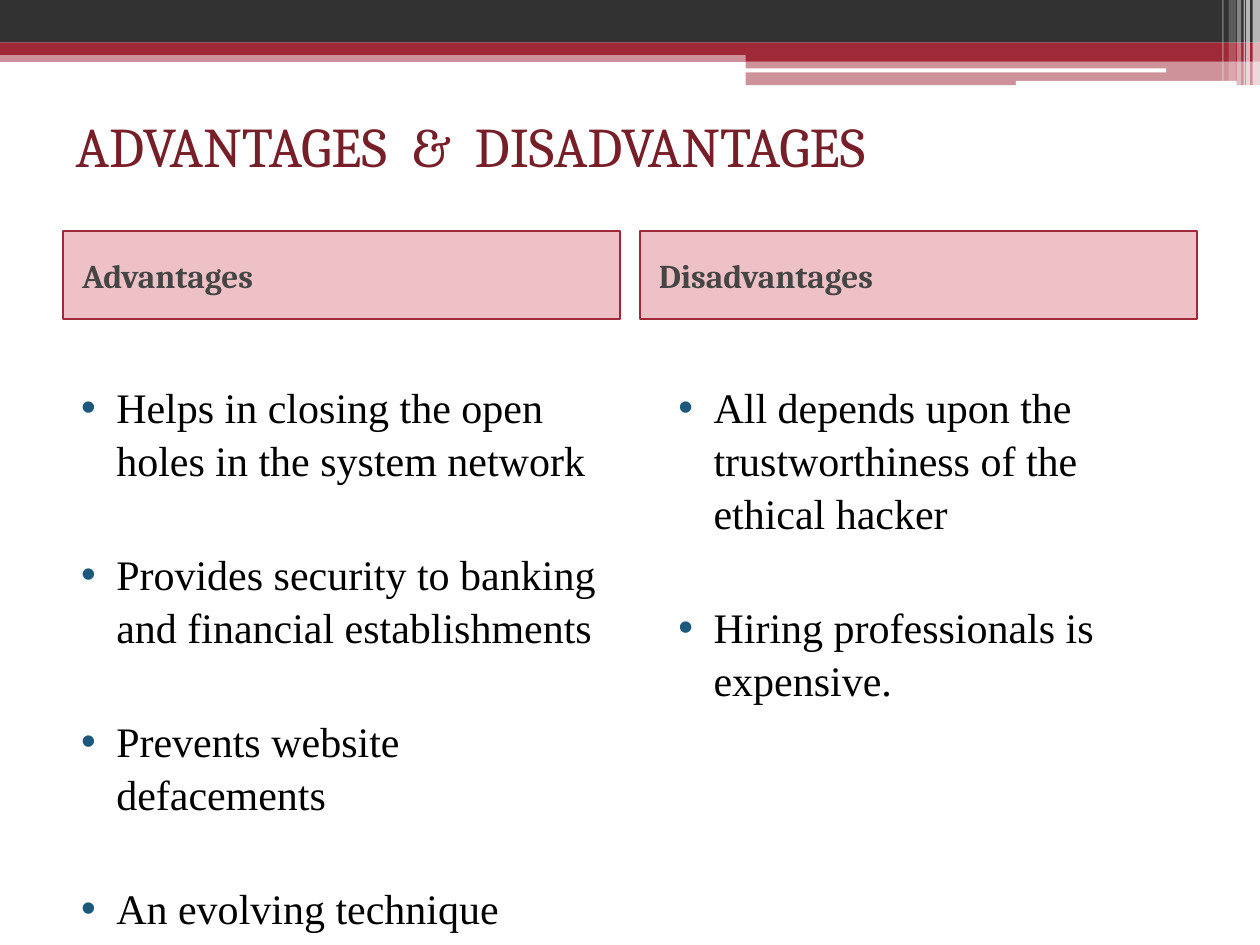
"""Build a slide that compares advantages and disadvantages."""
from lxml import etree
from pptx import Presentation
from pptx.dml.color import RGBColor
from pptx.enum.shapes import MSO_SHAPE
from pptx.enum.text import MSO_ANCHOR, MSO_AUTO_SIZE, PP_ALIGN
from pptx.oxml.ns import qn
from pptx.util import Cm, Pt

RECT, ROUND = MSO_SHAPE.RECTANGLE, MSO_SHAPE.ROUNDED_RECTANGLE
TOP, MIDDLE = MSO_ANCHOR.TOP, MSO_ANCHOR.MIDDLE
LEFT, FIXED = PP_ALIGN.LEFT, MSO_AUTO_SIZE.NONE
RED = RGBColor(0x9F, 0x29, 0x36)
ROSE = RGBColor(0xBC, 0x0B, 0x1F)
WINE = RGBColor(0x77, 0x1F, 0x28)
DARK = RGBColor(0x32, 0x32, 0x32)
GREY = RGBColor(0x45, 0x45, 0x45)
BLUE = RGBColor(0x1B, 0x58, 0x7C)
BLACK = RGBColor(0, 0, 0)
WHITE = RGBColor(255, 255, 255)


def paint(shape, color, alpha):
    shape.fill.solid()
    shape.fill.fore_color.rgb = color
    if alpha < 100:
        tint = shape.fill._xPr.find(".//" + qn("a:srgbClr"))
        etree.SubElement(tint, qn("a:alpha"), val=str(alpha * 1000))


def write(holder, box, lines, face, size, color, anchor):
    holder.left, holder.top, holder.width, holder.height = map(Cm, box)
    frame = holder.text_frame
    frame.text = "\n".join(lines)
    frame.word_wrap, frame.auto_size = True, FIXED
    frame.vertical_anchor = anchor
    for para in frame.paragraphs:
        para.alignment = LEFT
        para.font.name, para.font.size = face, Pt(size)
        para.font.color.rgb = color
    return frame.paragraphs


deck = Presentation()
deck.slide_width, deck.slide_height = Cm(25.4), Cm(19.05)
slide = deck.slides.add_slide(deck.slide_layouts[4])

bands = [
    (RECT, 0, 1.02, 25.4, 0.23, RED, 50),
    (RECT, 0, 0, 25.4, 0.86, DARK, 100),
    (RECT, 0, 0.86, 25.4, 0.25, RED, 100),
    (RECT, 15.03, 1, 10.37, 0.24, RED, 100),
    (RECT, 15.03, 1.24, 10.37, 0.48, RED, 50),
    (ROUND, 15.01, 1.38, 8.5, 0.08, WHITE, 100),
    (ROUND, 20.48, 1.63, 4.45, 0.1, WHITE, 100),
    (RECT, 25.25, 0, 0.15, 1.73, WHITE, 65),
    (RECT, 25.12, 0, 0.08, 1.73, WHITE, 65),
    (RECT, 25.07, 0, 0.03, 1.73, WHITE, 60),
    (RECT, 24.94, 0, 0.08, 1.73, WHITE, 40),
    (RECT, 24.77, 0, 0.15, 1.63, WHITE, 20),
    (RECT, 24.64, 0, 0.03, 1.63, WHITE, 30),
]
for kind, x, y, w, h, color, alpha in bands:
    band = slide.shapes.add_shape(kind, Cm(x), Cm(y), Cm(w), Cm(h))
    band.shadow.inherit = False
    band.line.fill.background()
    paint(band, color, alpha)

title, *holders = slide.placeholders
write(title, (1.27, 2.11, 20.75, 1.63), ["ADVANTAGES  &  DISADVANTAGES"],
      "Cambria", 32, WINE, MIDDLE)

sides = [
    ("Advantages", 1.27, 1.07, [
        "Helps in closing the open holes in the system network",
        "Provides security to banking and financial establishments",
        "Prevents website defacements",
        "An evolving technique"]),
    ("Disadvantages", 12.9, 13.11, [
        "All depends upon the trustworthiness of the ethical hacker",
        "Hiring professionals is expensive."]),
]
for (name, x, inset, points), head, body in zip(sides, holders[::2], holders[1::2]):
    label = write(head, (x, 4.65, 11.23, 1.78), [name], "Cambria", 19, GREY, MIDDLE)[0]
    label.font.bold = True
    label.space_before = Pt(3)
    label._p.get_or_add_pPr().set("marL", str(Cm(0.13)))
    paint(head, ROSE, 25)
    head.line.color.rgb, head.line.width = RED, Pt(1)

    items = write(body, (inset, 7.52, 11.23, 10.8), points,
                  "Times New Roman", 24, BLACK, TOP)
    for i, item in enumerate(items):
        item.line_spacing = 1.05
        item.space_before = Pt(35 if i else 3)
        props = item._p.get_or_add_pPr()
        props.set("marL", str(Cm(1.02)))
        props.set("indent", str(Cm(-0.71)))
        tint = etree.Element(qn("a:buClr"))
        etree.SubElement(tint, qn("a:srgbClr"), val=str(BLUE))
        props.find(qn("a:defRPr")).addprevious(tint)

deck.save("out.pptx")
